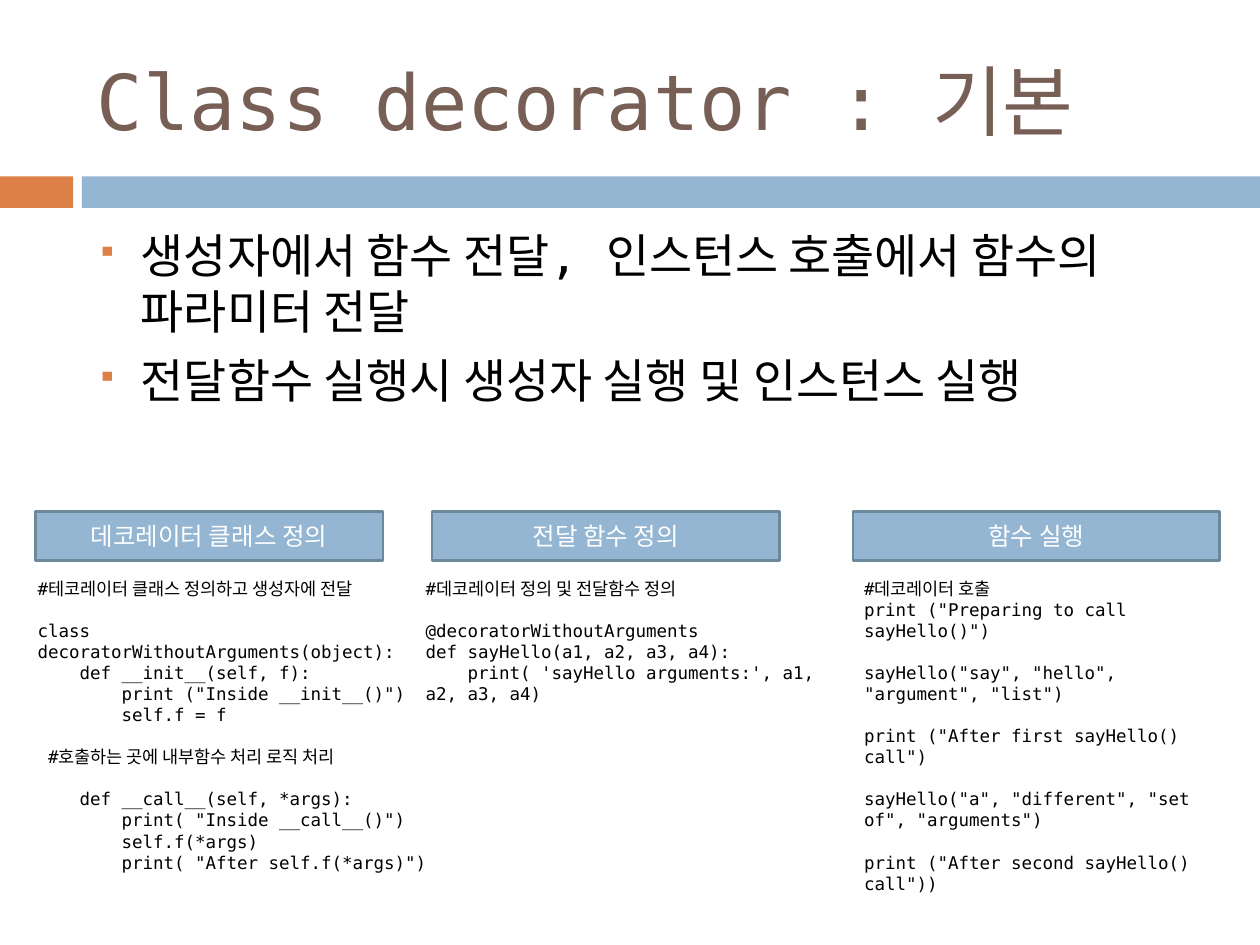
from lxml import etree
from pptx import Presentation
from pptx.dml.color import RGBColor
from pptx.enum.shapes import MSO_SHAPE
from pptx.enum.text import MSO_ANCHOR, PP_ALIGN
from pptx.oxml.ns import qn
from pptx.util import Inches, Pt

RECTANGLE = MSO_SHAPE.RECTANGLE
MIDDLE = MSO_ANCHOR.MIDDLE
CENTER = PP_ALIGN.CENTER

ORANGE = RGBColor(0xDD, 0x80, 0x47)
BLUE = RGBColor(0x94, 0xB6, 0xD2)
BLUE_EDGE = RGBColor(0x6D, 0x87, 0x9B)
BROWN = RGBColor(0x77, 0x5F, 0x55)
BLACK = RGBColor(0, 0, 0)
WHITE = RGBColor(0xFF, 0xFF, 0xFF)

FONT = "DejaVu Sans Mono"
CODE_SIZE = 10
CODE_LINE_HEIGHT = 12

TITLE = "Class decorator : 기본"
BULLETS = [
    "생성자에서 함수 전달, 인스턴스 호출에서 함수의 파라미터 전달",
    "전달함수 실행시 생성자 실행 및 인스턴스 실행",
]

CLASS_CODE = """\
#테코레이터 클래스 정의하고 생성자에 전달

class decoratorWithoutArguments(object):
    def __init__(self, f):
        print ("Inside __init__()")
        self.f = f

 #호출하는 곳에 내부함수 처리 로직 처리

    def __call__(self, *args):
        print( "Inside __call__()")
        self.f(*args)
        print( "After self.f(*args)")"""

FUNCTION_CODE = """\
#데코레이터 정의 및 전달함수 정의

@decoratorWithoutArguments
def sayHello(a1, a2, a3, a4):
    print( 'sayHello arguments:', a1, a2, a3, a4)"""

CALL_CODE = """\
#데코레이터 호출
print ("Preparing to call sayHello()")

sayHello("say", "hello", "argument", "list")

print ("After first sayHello() call")

sayHello("a", "different", "set of", "arguments")

print ("After second sayHello() call"))"""

# Heading, heading left and width, code left, width and height, code
COLUMNS = [
    ("데코레이터 클래스 정의", 0.28, 2.76, 0.2, 3.31, 2.29, CLASS_CODE),
    ("전달 함수 정의", 3.43, 2.76, 3.28, 3.37, 0.94, FUNCTION_CODE),
    ("함수 실행", 6.77, 2.91, 6.76, 3.12, 1.95, CALL_CODE),
]
HEADING_TOP, HEADING_HEIGHT, CODE_TOP = 4.06, 0.39, 4.54


def set_font(paragraph, size, color):
    paragraph.font.name = FONT
    paragraph.font.size = Pt(size)
    paragraph.font.color.rgb = color


def add_rectangle(slide, box, fill, edge=None):
    shape = slide.shapes.add_shape(RECTANGLE, *map(Inches, box))
    shape.shadow.inherit = False
    shape.fill.solid()
    shape.fill.fore_color.rgb = fill
    if edge is None:
        shape.line.fill.background()
    else:
        shape.line.color.rgb = edge
        shape.line.width = Pt(1.5)
    return shape


def add_text_frame(slide, box):
    frame = slide.shapes.add_textbox(*map(Inches, box)).text_frame
    frame.word_wrap = True
    return frame


def add_band(slide, box):
    """Orange block and blue bar, split by a thin gap."""
    left, top, width, height = box
    block, bar_start = 0.058 * width, 0.065 * width
    add_rectangle(slide, (left, top, block, height), ORANGE)
    add_rectangle(slide, (left + bar_start, top, width - bar_start, height), BLUE)


def add_title(slide, box):
    frame = add_text_frame(slide, box)
    frame.vertical_anchor = MIDDLE
    frame.text = TITLE
    set_font(frame.paragraphs[0], 44, BROWN)


def add_bullet(paragraph):
    properties = paragraph._p.get_or_add_pPr()
    indent = Inches(0.35)
    properties.set("marL", str(indent))
    properties.set("indent", str(-indent))
    color = etree.SubElement(properties, qn("a:buClr"))
    etree.SubElement(color, qn("a:srgbClr"), val=str(ORANGE))
    etree.SubElement(properties, qn("a:buSzPct"), val="60000")
    etree.SubElement(properties, qn("a:buChar"), char="▪")


def add_bullets(slide, box):
    frame = add_text_frame(slide, box)
    frame.text = "\n".join(BULLETS)
    for index, paragraph in enumerate(frame.paragraphs):
        add_bullet(paragraph)
        if index:
            paragraph.space_before = Pt(7)
        set_font(paragraph, 26.8, BLACK)


def add_heading(slide, box, text):
    frame = add_rectangle(slide, box, BLUE, BLUE_EDGE).text_frame
    frame.word_wrap = True
    frame.vertical_anchor = MIDDLE
    frame.text = text
    frame.paragraphs[0].alignment = CENTER
    set_font(frame.paragraphs[0], 14, WHITE)


def add_code(slide, box, code):
    """One paragraph per line; an empty line becomes space before the next."""
    frame = add_text_frame(slide, box)
    for index, block in enumerate(code.split("\n\n")):
        for row, line in enumerate(block.split("\n")):
            first = index == row == 0
            paragraph = frame.paragraphs[0] if first else frame.add_paragraph()
            paragraph.text = line
            if index and row == 0:
                paragraph.space_before = Pt(CODE_LINE_HEIGHT)
            set_font(paragraph, CODE_SIZE, BLACK)


def main():
    presentation = Presentation()
    presentation.slide_width = Inches(10)
    presentation.slide_height = Inches(7.5)
    slide = presentation.slides.add_slide(presentation.slide_layouts[6])

    add_band(slide, (0, 1.4, 10, 0.25))
    add_title(slide, (0.67, 0.25, 8.92, 1.08))
    add_bullets(slide, (0.67, 1.75, 8.92, 1.92))
    for heading, left, width, code_left, code_width, code_height, code in COLUMNS:
        add_heading(slide, (left, HEADING_TOP, width, HEADING_HEIGHT), heading)
        add_code(slide, (code_left, CODE_TOP, code_width, code_height), code)

    presentation.save("out.pptx")


if __name__ == "__main__":
    main()
